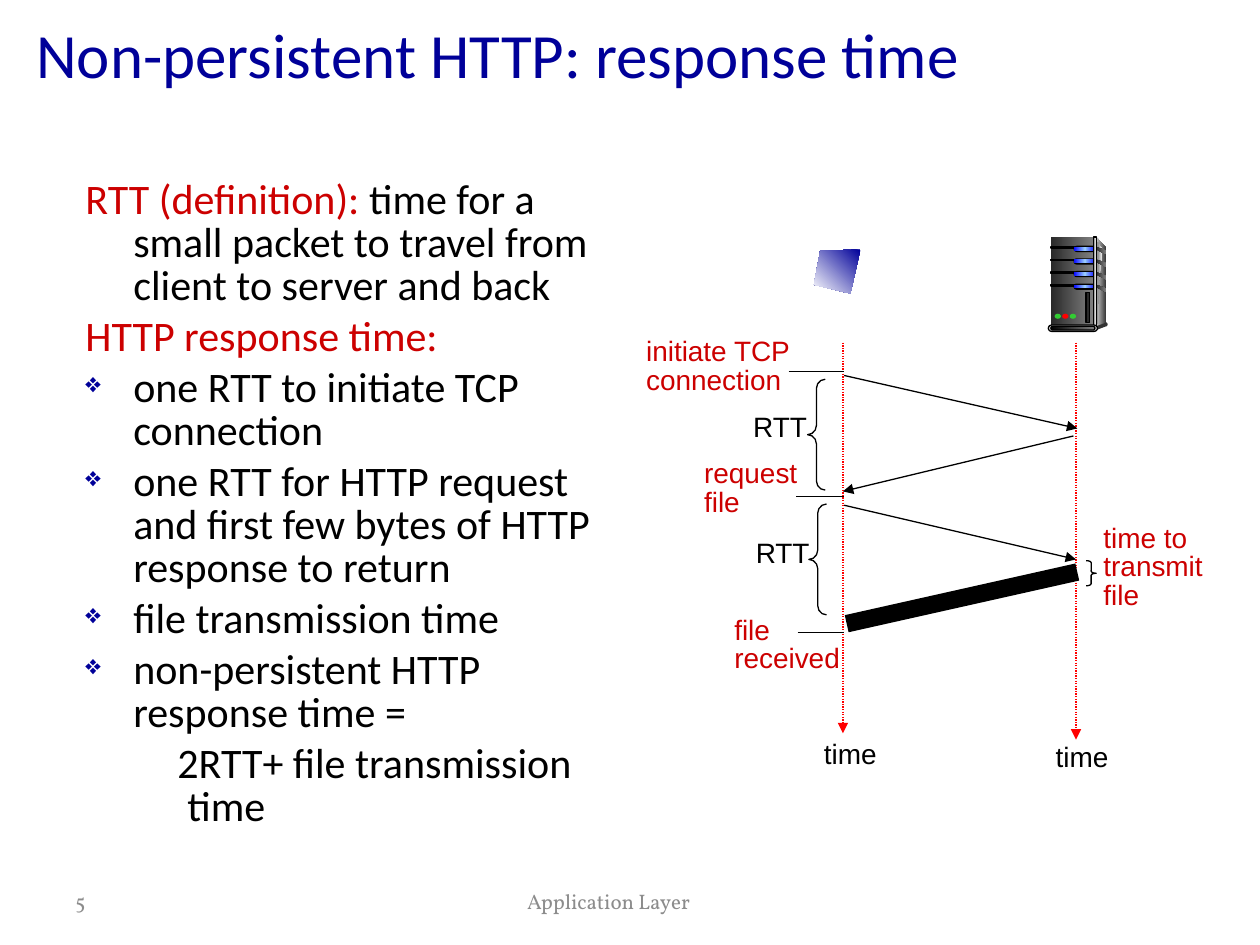
from copy import deepcopy

from lxml import etree
from pptx import Presentation
from pptx.dml.color import RGBColor
from pptx.enum import dml, shapes, text
from pptx.oxml import ns
from pptx.util import Inches, Pt

NAVY = RGBColor(0x00, 0x00, 0x99)
RED = RGBColor(0xCC, 0x00, 0x00)
BRIGHT = RGBColor(0xFF, 0x00, 0x00)
BLACK = RGBColor(0x00, 0x00, 0x00)
WHITE = RGBColor(0xFF, 0xFF, 0xFF)
COAL = RGBColor(0x29, 0x29, 0x29)
DARK = RGBColor(0x33, 0x33, 0x33)
GRAY = RGBColor(0x80, 0x80, 0x80)
MUTED = RGBColor(0x8C, 0x8C, 0x8C)
PALE = RGBColor(0xDD, 0xDD, 0xDD)
LIGHT = RGBColor(0xF8, 0xF8, 0xF8)
GREEN = RGBColor(0x33, 0xCC, 0x33)
BLUE = RGBColor(0x00, 0x00, 0xFF)
SKY = RGBColor(0x99, 0xCC, 0xFF)

SHAPE = shapes.MSO_SHAPE
LEFT, CENTER = text.PP_ALIGN.LEFT, text.PP_ALIGN.CENTER
TOP, MIDDLE = text.MSO_ANCHOR.TOP, text.MSO_ANCHOR.MIDDLE


def add(node, tag, **attrs):
    return etree.SubElement(node, ns.qn(tag), attrs)


class Page:
    head, body, label, foot = ("Calibri", 36), ("Calibri", 24), ("Arial", 16), ("Vollkorn", 12)
    thin, tight = Pt(0.75), 0.85

    def __init__(self, slide):
        self.slide = slide
        self.tree = slide.shapes

    def group(self):
        """Send the shapes that follow into a new group."""
        self.tree = self.slide.shapes.add_group_shape().shapes

    def frame(self, box, anchor=TOP, wrap=True):
        frame = self.slide.shapes.add_textbox(*map(Inches, box)).text_frame
        frame.word_wrap = wrap
        frame.vertical_anchor = anchor
        return frame

    def run(self, para, words, font, color):
        run = para.add_run()
        run.text = words
        run.font.name, size = font
        run.font.size = Pt(size)
        run.font.color.rgb = color

    def words(self, box, lines, font, color, anchor=TOP, wrap=True, align=LEFT, space=1.0):
        frame = self.frame(box, anchor, wrap)
        for i, words in enumerate(lines):
            para = frame.add_paragraph() if i else frame.paragraphs[0]
            para.alignment = align
            para.line_spacing = space
            self.run(para, words, font, color)

    def note(self, box, *lines, color=RED, space=tight):
        self.words(box, lines, self.label, color, wrap=False, space=space)

    def points(self, box, items):
        """Each item: runs of (words, color), bullet flag, margin, indent."""
        frame = self.frame(box)
        for i, (runs, bullet, margin, indent) in enumerate(items):
            para = frame.add_paragraph() if i else frame.paragraphs[0]
            para.line_spacing = self.tight
            para.space_before = Pt(4.8 if i else 0)
            props = para._p.get_or_add_pPr()
            props.set("marL", str(Inches(margin)))
            props.set("indent", str(Inches(indent)))
            if bullet:
                add(add(props, "a:buClr"), "a:srgbClr", val=str(NAVY))
                add(props, "a:buSzPct", val="65000")
                add(props, "a:buChar", char="❖")
            else:
                add(props, "a:buNone")
            for words, color in runs:
                self.run(para, words, self.body, color)

    def line(self, start, end, color=BLACK, width=thin, dash=None, arrow=False):
        line = self.slide.shapes.add_connector(
            shapes.MSO_CONNECTOR.STRAIGHT, *map(Inches, start + end))
        line.line.color.rgb = color
        line.line.width = width
        if dash:
            line.line.dash_style = dash
        if arrow:
            add(line.line._get_or_add_ln(), "a:tailEnd", type="triangle")
        add(line._element.spPr, "a:effectLst")

    def paint(self, item, fill, edge, angle=0):
        """Fill with nothing, one color, or a blend of several."""
        item.shadow.inherit = False
        if not fill:
            item.fill.background()
        elif len(fill) == 1:
            item.fill.solid()
            item.fill.fore_color.rgb = fill[0]
        else:
            item.fill.gradient()
            item.fill.gradient_angle = angle
            stops = item.fill._fill._gradFill.gsLst
            for _ in fill[2:]:
                stops.append(deepcopy(stops[-1]))
            for i, (stop, color) in enumerate(zip(item.fill.gradient_stops, fill)):
                stop.position = i / (len(fill) - 1)
                stop.color.rgb = color
        if edge:
            item.line.color.rgb = BLACK
            item.line.width = self.thin
        else:
            item.line.fill.background()

    def shape(self, kind, box, *fill, edge=False, bend=()):
        item = self.tree.add_shape(kind, *map(Inches, box))
        for i, value in enumerate(bend):
            item.adjustments[i] = value
        self.paint(item, fill, edge)

    def pill(self, box, *fill, edge=False):
        self.shape(SHAPE.ROUNDED_RECTANGLE, box, *fill, edge=edge, bend=[0.5])

    def outline(self, points, *fill, angle=0):
        spots = [(Inches(x), Inches(y)) for x, y in points]
        pen = self.tree.build_freeform(*spots[0])
        pen.add_line_segments(spots[1:])
        self.paint(pen.convert_to_shape(), fill, False, angle)

    def server(self):
        self.group()
        self.outline([(8.7, 1.88), (8.78, 1.97), (8.78, 2.56), (8.69, 2.59)], PALE, DARK)
        self.shape(SHAPE.RECTANGLE, (8.34, 1.88, 0.34, 0.71), COAL, GRAY)
        self.outline([(8.71, 1.92), (8.75, 1.98), (8.72, 2.25), (8.71, 2.57)], GRAY, LIGHT)
        for i in range(4):
            y = 1.96 + 0.1 * i
            self.shape(SHAPE.RECTANGLE, (8.34, y, 0.19, 0.01), BLACK, edge=True)
            self.pill((8.52, y - 0.01, 0.19, 0.05), BLACK)
            self.pill((8.52, y, 0.18, 0.03), BLUE, SKY, BLUE)
            self.outline([(8.7, y), (8.78, y + 0.03), (8.78, y + 0.06), (8.7, y + 0.02)],
                         COAL, GRAY)
        self.shape(SHAPE.RECTANGLE, (8.68, 1.88, 0.02, 0.72), DARK, PALE, DARK, edge=True)
        self.shape(SHAPE.OVAL, (8.77, 2.56, 0.02, 0.03), DARK)
        self.outline([(8.7, 2.59), (8.7, 2.62), (8.78, 2.59), (8.78, 2.56)], DARK)
        self.pill((8.32, 2.58, 0.39, 0.05), PALE, edge=True)
        self.pill((8.34, 2.59, 0.35, 0.03), BLACK, GRAY, edge=True)
        for i, color in enumerate((GREEN, BRIGHT, GREEN)):
            self.shape(SHAPE.OVAL, (8.37 + 0.06 * i, 2.49, 0.05, 0.04), color)
        self.shape(SHAPE.RECTANGLE, (8.62, 2.32, 0.03, 0.24), COAL, edge=True)


def main():
    deck = Presentation()
    deck.slide_width, deck.slide_height = Inches(10), Inches(7.5)
    page = Page(deck.slides.add_slide(deck.slide_layouts[6]))

    page.words((0.19, -0.08, 8.99, 1.01), ["Non-persistent HTTP: response time"],
               page.head, NAVY, MIDDLE)
    terms = [
        [("RTT (definition):", RED),
         (" time for a small packet to travel from client to server and back", BLACK)],
        [("HTTP response time:", RED)],
    ]
    parts = [
        "one RTT to initiate TCP connection",
        "one RTT for HTTP request and first few bytes of HTTP response to return",
        "file transmission time",
        "non-persistent HTTP response time =",
    ]
    page.points((0.58, 1.38, 4.47, 5.08),
                [(runs, False, 0.38, -0.38) for runs in terms]
                + [([(words, BLACK)], True, 0.38, -0.38) for words in parts]
                + [([("2RTT+ file transmission time", BLACK)], False, 0.81, -0.08)])

    for x, end in ((6.69, 5.82), (8.54, 5.87)):
        page.line((x, 2.72), (x, end), BRIGHT, dash=dml.MSO_LINE.ROUND_DOT, arrow=True)
    for start, end in (((6.7, 2.98), (8.55, 3.4)), ((8.52, 3.46), (6.69, 3.9)),
                       ((6.7, 4.01), (8.54, 4.44))):
        page.line(start, end, arrow=True)
    page.line((8.55, 4.54), (6.72, 4.95), width=Pt(10))
    for x, y in ((6.26, 2.95), (6.32, 3.94), (6.33, 5.02)):
        page.line((x, y), (6.7, y))

    page.shape(SHAPE.RIGHT_BRACE, (8.62, 4.45, 0.08, 0.2), edge=True, bend=(0.2, 0.5))
    for x, y in ((6.41, 3.01), (6.42, 4)):
        page.shape(SHAPE.LEFT_BRACE, (x, y, 0.14, 0.88), edge=True, bend=(0.52, 0.5))

    page.note((8.66, 4.12, 1.06, 0.78), "time to", "transmit", "file")
    page.note((5.03, 2.64, 1.35, 0.56), "initiate TCP", "connection")
    page.note((5.49, 3.61, 0.94, 0.56), "request", "file")
    page.note((5.73, 4.85, 1.04, 0.56), "file", "received")
    page.note((5.88, 3.24, 0.63, 0.33), "RTT", color=BLACK)
    page.note((5.9, 4.24, 0.63, 0.33), "RTT", color=BLACK)
    page.note((6.44, 5.84, 0.62, 0.33), "time", color=BLACK)
    page.note((8.28, 5.82, 0.62, 0.37), "time", color=BLACK, space=1.0)

    page.outline([(6.83, 1.98), (6.51, 1.99), (6.46, 2.26), (6.75, 2.33)],
                 NAVY, WHITE, angle=225)
    page.server()

    page.words((0.5, 6.95, 1.17, 0.4), ["5"], page.foot, MUTED, MIDDLE)
    page.words((1.83, 6.95, 6, 0.4), ["Application Layer"], page.foot, MUTED, MIDDLE,
               align=CENTER)
    deck.save("out.pptx")


if __name__ == "__main__":
    main()
